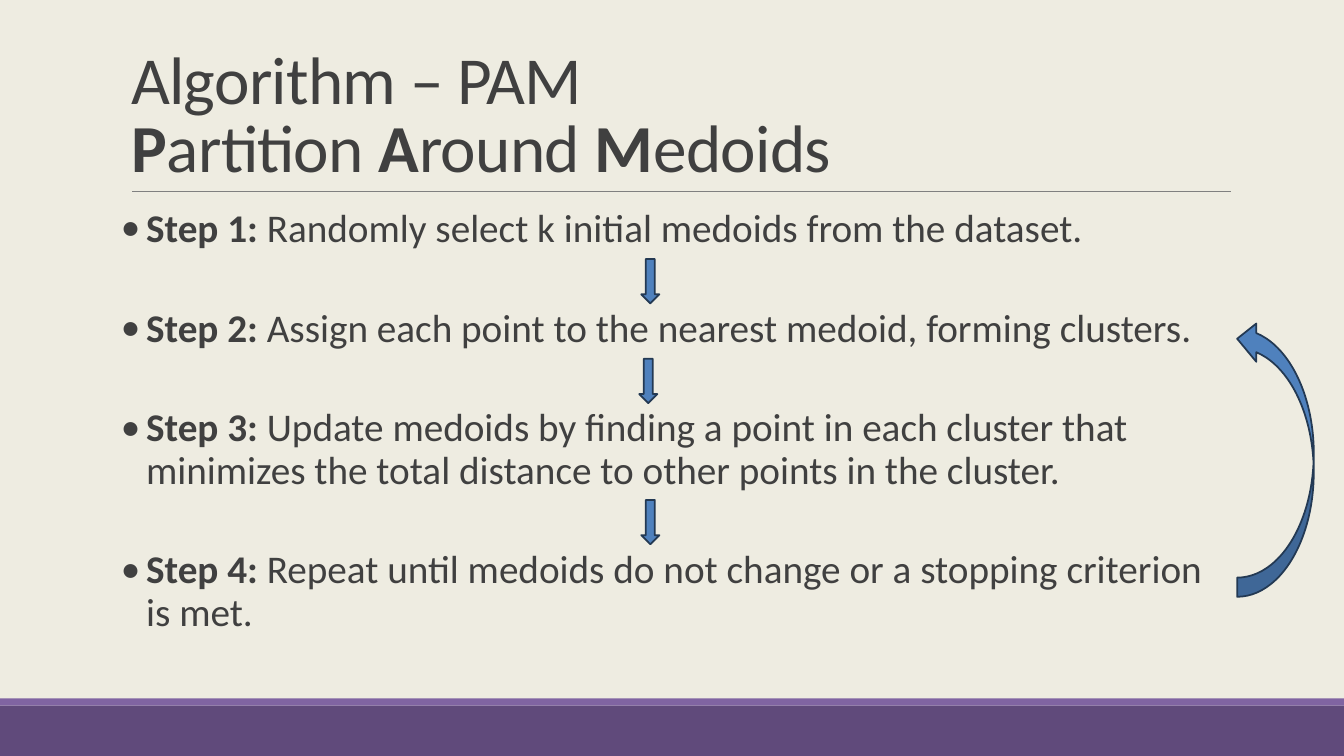
from dataclasses import dataclass

from lxml.etree import SubElement
from pptx import Presentation
from pptx.dml.color import RGBColor
from pptx.enum.shapes import MSO_CONNECTOR as Connector, MSO_SHAPE as Shape
from pptx.enum.text import MSO_ANCHOR as Anchor, MSO_AUTO_SIZE as AutoSize, PP_ALIGN as Align
from pptx.oxml.ns import qn
from pptx.util import Inches, Pt


@dataclass(frozen=True)
class Theme:
    """Colours, font and type sizes of the slide."""
    background: str = "EEECE1"
    band: str = "604A7B"
    stripe: str = "8064A2"
    rule: str = "808080"
    text: str = "404040"
    arrow: str = "4F81BD"
    arrow_edge: str = "233953"
    font: str = "Calibri"
    title_size: float = 48
    body_size: float = 28


THEME = Theme()
TITLE_LINES = [
    [("Algorithm – PAM", False)],
    [("P", True), ("artition ", False), ("A", True), ("round ", False),
     ("M", True), ("edoids", False)],
]
STEPS = [
    "Randomly select k initial medoids from the dataset.",
    "Assign each point to the nearest medoid, forming clusters.",
    "Update medoids by finding a point in each cluster that minimizes "
    "the total distance to other points in the cluster.",
    "Repeat until medoids do not change or a stopping criterion is met.",
]
STEP_ARROWS = [(6.36, 2.57), (6.34, 3.56), (6.36, 4.96)]


def apply_format(target, values):
    """Set each attribute named in values on target."""
    for name, value in values.items():
        setattr(target, name, value)


def place(shape, left, top, width, height):
    """Move and size a shape, in inches."""
    apply_format(shape, {"left": Inches(left), "top": Inches(top),
                         "width": Inches(width), "height": Inches(height)})


def add_run(paragraph, text, size, bold):
    """Add a run in the theme's font and text colour."""
    run = paragraph.add_run()
    run.text = text
    apply_format(run.font, {"name": THEME.font, "size": Pt(size), "bold": bold})
    run.font.color.rgb = RGBColor.from_string(THEME.text)
    return run


def add_block(slide, kind, box, fill, edge=None):
    """Add a filled preset shape with an optional outline."""
    shape = slide.shapes.add_shape(kind, *map(Inches, box))
    shape.shadow.inherit = False
    shape.fill.solid()
    shape.fill.fore_color.rgb = RGBColor.from_string(fill)
    if edge:
        shape.line.color.rgb = RGBColor.from_string(edge)
        shape.line.width = Pt(1.25)
    else:
        shape.line.fill.background()
    return shape


def add_rule(slide, left, right, top):
    """Add the thin horizontal line below the title."""
    rule = slide.shapes.add_connector(
        Connector.STRAIGHT, Inches(left), Inches(top), Inches(right), Inches(top))
    rule.line.color.rgb = RGBColor.from_string(THEME.rule)
    rule.line.width = Pt(0.5)
    SubElement(rule.line._get_or_add_ln().getparent(), qn("a:effectLst"))


def fill_title(slide):
    """Place the title and write its two lines."""
    title = slide.shapes.title
    place(title, 1.2, 0.31, 11, 1.59)
    apply_format(title.text_frame, {"vertical_anchor": Anchor.BOTTOM, "word_wrap": True,
                                    "auto_size": AutoSize.NONE})
    paragraph = title.text_frame.paragraphs[0]
    apply_format(paragraph, {"alignment": Align.LEFT, "line_spacing": 0.85})
    for index, line in enumerate(TITLE_LINES):
        if index:
            paragraph.add_line_break()
        for text, bold in line:
            run = add_run(paragraph, text, THEME.title_size, bold)
            run.font._element.set("spc", "-50")


def add_bullet(paragraph):
    """Give a paragraph a round bullet with a hanging indent."""
    properties = paragraph._p.get_or_add_pPr()
    properties.set("marL", str(Inches(0.25)))
    properties.set("indent", str(Inches(-0.25)))
    SubElement(properties, qn("a:buFont"), typeface=THEME.font)
    SubElement(properties, qn("a:buChar"), char="•")


def add_steps(slide):
    """Add the bulleted list of numbered steps."""
    box = slide.shapes.add_textbox(Inches(1.2), Inches(2.02), Inches(11), Inches(4.4))
    frame = box.text_frame
    apply_format(frame, {"word_wrap": True, "margin_left": 0, "margin_right": 0})
    for number, text in enumerate(STEPS, 1):
        paragraph = frame.paragraphs[0] if number == 1 else frame.add_paragraph()
        apply_format(paragraph, {"line_spacing": 0.9, "space_after": Pt(41)})
        add_bullet(paragraph)
        add_run(paragraph, f"Step {number}: ", THEME.body_size, True)
        add_run(paragraph, text, THEME.body_size, False)


def main():
    """Build the slide and save it."""
    presentation = Presentation()
    apply_format(presentation, {"slide_width": Inches(13.33), "slide_height": Inches(7.5)})
    slide = presentation.slides.add_slide(presentation.slide_layouts[5])
    slide.background.fill.solid()
    slide.background.fill.fore_color.rgb = RGBColor.from_string(THEME.background)

    add_block(slide, Shape.RECTANGLE, (0, 7, 13.33, 0.5), THEME.band)
    add_block(slide, Shape.RECTANGLE, (0, 6.93, 13.33, 0.07), THEME.stripe)
    add_rule(slide, 1.31, 12.21, 1.9)
    fill_title(slide)
    add_steps(slide)
    loop = add_block(slide, Shape.CURVED_RIGHT_ARROW, (12.27, 3.17, 0.76, 2.75),
                     THEME.arrow, THEME.arrow_edge)
    loop.rotation = 180
    for left, top in STEP_ARROWS:
        add_block(slide, Shape.DOWN_ARROW, (left, top, 0.18, 0.44),
                  THEME.arrow, THEME.arrow_edge)
    presentation.save("out.pptx")


if __name__ == "__main__":
    main()
